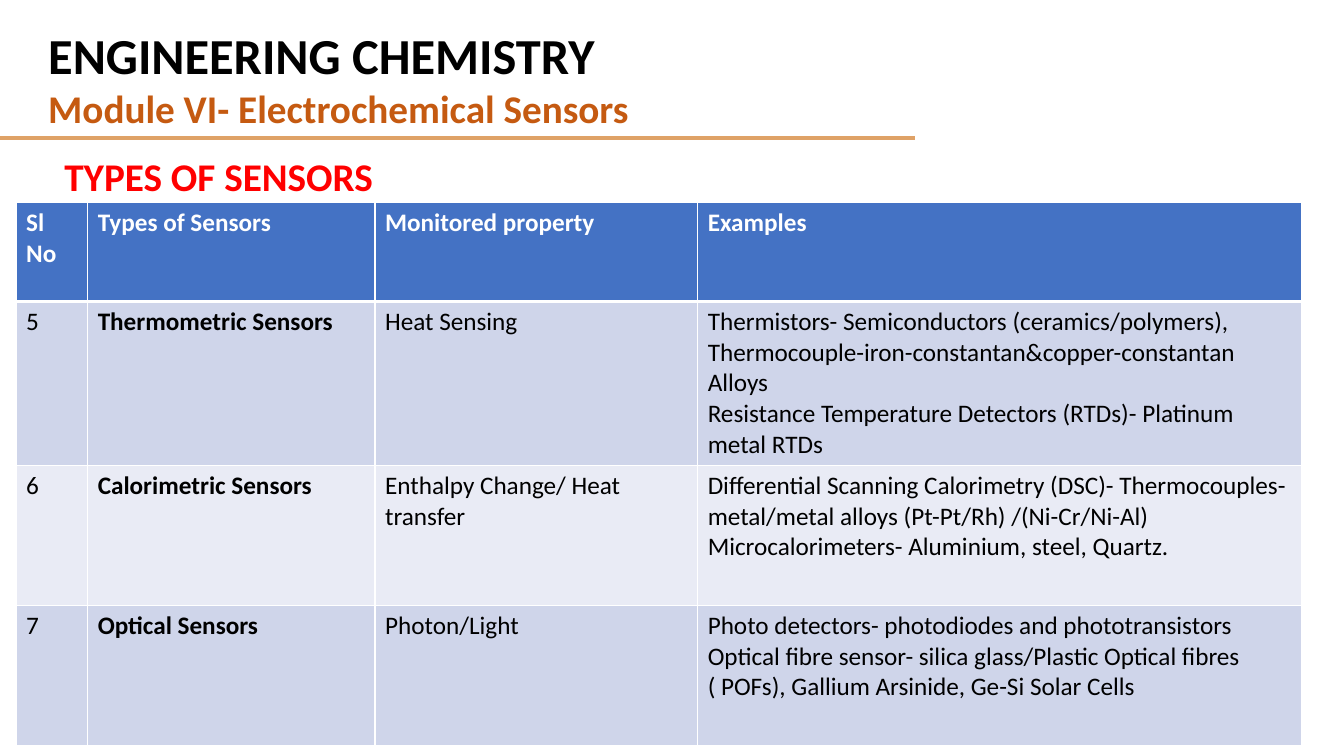
from dataclasses import dataclass

import lxml.etree
import pptx
import pptx.dml.color
import pptx.enum.shapes
import pptx.enum.text
import pptx.oxml.ns
import pptx.util

Inches = pptx.util.Inches
Pt = pptx.util.Pt
qn = pptx.oxml.ns.qn
ANCHOR = pptx.enum.text.MSO_ANCHOR


@dataclass(frozen=True)
class Theme:
    font: str = "Calibri"
    black: str = "000000"
    white: str = "FFFFFF"
    module: str = "C55A11"
    heading: str = "FF0000"
    rule: str = "DFA267"
    header_fill: str = "4472C4"
    bands: tuple[str, str] = ("CFD5EA", "E9EBF5")
    course_size: int = 36
    heading_size: int = 28
    table_size: int = 18


@dataclass(frozen=True)
class Line:
    text: str
    size: int
    color: str
    bold: bool = True
    spacing: float = 1.0


@dataclass(frozen=True)
class TextBox:
    box: tuple[float, float, float, float]
    lines: tuple[Line, ...]
    anchor: ANCHOR = ANCHOR.TOP


@dataclass(frozen=True)
class Sensor:
    number: str
    kind: str
    monitored: str
    examples: tuple[str, ...]


THEME = Theme()

TEXT_BOXES = (
    TextBox((0.38, 0.19, 8.75, 1.18), (
        Line("ENGINEERING CHEMISTRY", THEME.course_size, THEME.black),
        Line("Module VI- Electrochemical Sensors", THEME.heading_size, THEME.module),
    )),
    TextBox((0.54, 1.05, 11.5, 1.45), (
        Line("TYPES OF SENSORS", THEME.heading_size, THEME.heading, spacing=0.9),
    ), ANCHOR.MIDDLE),
)

HEADERS = ("Sl No", "Types of Sensors", "Monitored property", "Examples")
SENSORS = (
    Sensor("5", "Thermometric Sensors", "Heat Sensing", (
        "Thermistors- Semiconductors (ceramics/polymers), "
        "Thermocouple-iron-constantan&copper-constantan Alloys",
        "Resistance Temperature Detectors (RTDs)- Platinum metal RTDs",
    )),
    Sensor("6", "Calorimetric Sensors", "Enthalpy Change/ Heat transfer", (
        "Differential Scanning Calorimetry (DSC)- "
        "Thermocouples-metal/metal alloys (Pt-Pt/Rh) /(Ni-Cr/Ni-Al)",
        "Microcalorimeters- Aluminium, steel, Quartz.",
    )),
    Sensor("7", "Optical Sensors", "Photon/Light", (
        "Photo detectors- photodiodes and phototransistors",
        "Optical fibre sensor- silica glass/Plastic Optical fibres "
        "( POFs), Gallium Arsinide, Ge-Si Solar Cells",
    )),
)
COL_WIDTHS = (0.71, 2.85, 3.2, 5.99)
ROW_HEIGHTS = (0.98, 1.43, 1.39, 1.39)


def rgb(color: str) -> pptx.dml.color.RGBColor:
    return pptx.dml.color.RGBColor.from_string(color)


def write_lines(tf, lines: tuple[Line, ...]) -> None:
    for i, line in enumerate(lines):
        p = tf.paragraphs[0] if i == 0 else tf.add_paragraph()
        p.text = line.text
        p.line_spacing = line.spacing
        p.font.name = THEME.font
        p.font.size = Pt(line.size)
        p.font.bold = line.bold
        p.font.color.rgb = rgb(line.color)


def add_text_box(slide, spec_box: TextBox) -> None:
    sp = slide.shapes.add_textbox(*map(Inches, spec_box.box))
    tf = sp.text_frame
    tf.word_wrap = True
    tf.vertical_anchor = spec_box.anchor
    write_lines(tf, spec_box.lines)


def add_rule(slide, x1: float, x2: float, y: float) -> None:
    cx = slide.shapes.add_connector(
        pptx.enum.shapes.MSO_CONNECTOR.STRAIGHT,
        Inches(x1), Inches(y), Inches(x2), Inches(y))
    cx.line.color.rgb = rgb(THEME.rule)
    cx.line.width = Pt(3)
    lxml.etree.SubElement(cx._element.spPr, qn("a:effectLst"))


def set_borders(cell, bottom: float, top: float) -> None:
    tcPr = cell._tc.get_or_add_tcPr()
    for side, width in (("L", 1), ("R", 1), ("T", top), ("B", bottom)):
        ln = lxml.etree.SubElement(tcPr, qn(f"a:ln{side}"), w=str(Pt(width)))
        fill = lxml.etree.SubElement(ln, qn("a:solidFill"))
        lxml.etree.SubElement(fill, qn("a:srgbClr"), val=THEME.white)


def add_sensor_table(slide, left: float, top: float) -> None:
    frame = slide.shapes.add_table(
        len(ROW_HEIGHTS), len(COL_WIDTHS), Inches(left), Inches(top),
        Inches(sum(COL_WIDTHS)), Inches(sum(ROW_HEIGHTS)))
    table = frame.table
    for col, width in zip(table.columns, COL_WIDTHS):
        col.width = Inches(width)
    for row, height in zip(table.rows, ROW_HEIGHTS):
        row.height = Inches(height)

    rows = [[(h,) for h in HEADERS]]
    rows += [[(s.number,), (s.kind,), (s.monitored,), s.examples] for s in SENSORS]
    for r, row in enumerate(rows):
        header = r == 0
        fill = THEME.header_fill if header else THEME.bands[(r - 1) % 2]
        color = THEME.white if header else THEME.black
        for c, texts in enumerate(row):
            cell = table.cell(r, c)
            set_borders(cell, bottom=3 if header else 1, top=3 if r == 1 else 1)
            cell.fill.solid()
            cell.fill.fore_color.rgb = rgb(fill)
            bold = header or c == 1
            write_lines(cell.text_frame, tuple(
                Line(t, THEME.table_size, color, bold) for t in texts))


def main() -> None:
    prs = pptx.Presentation()
    prs.slide_width, prs.slide_height = Inches(13.33), Inches(7.5)
    slide = prs.slides.add_slide(prs.slide_layouts[6])

    # Sensor table
    add_sensor_table(slide, 0.16, 2.01)

    # Course title, rule and section heading
    add_rule(slide, 0, 9.08, 1.37)
    for text_box in TEXT_BOXES:
        add_text_box(slide, text_box)

    prs.save("out.pptx")


if __name__ == "__main__":
    main()
